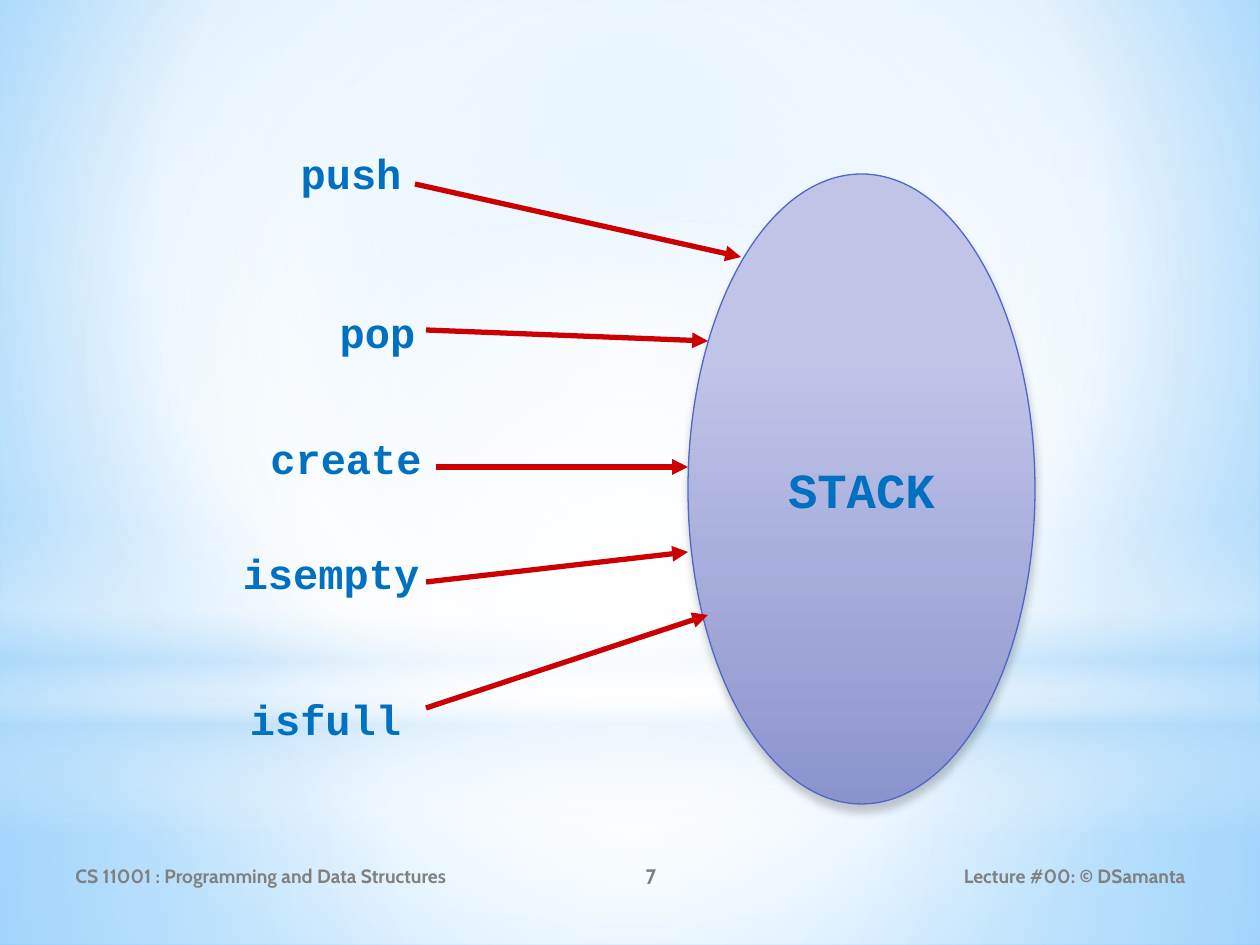
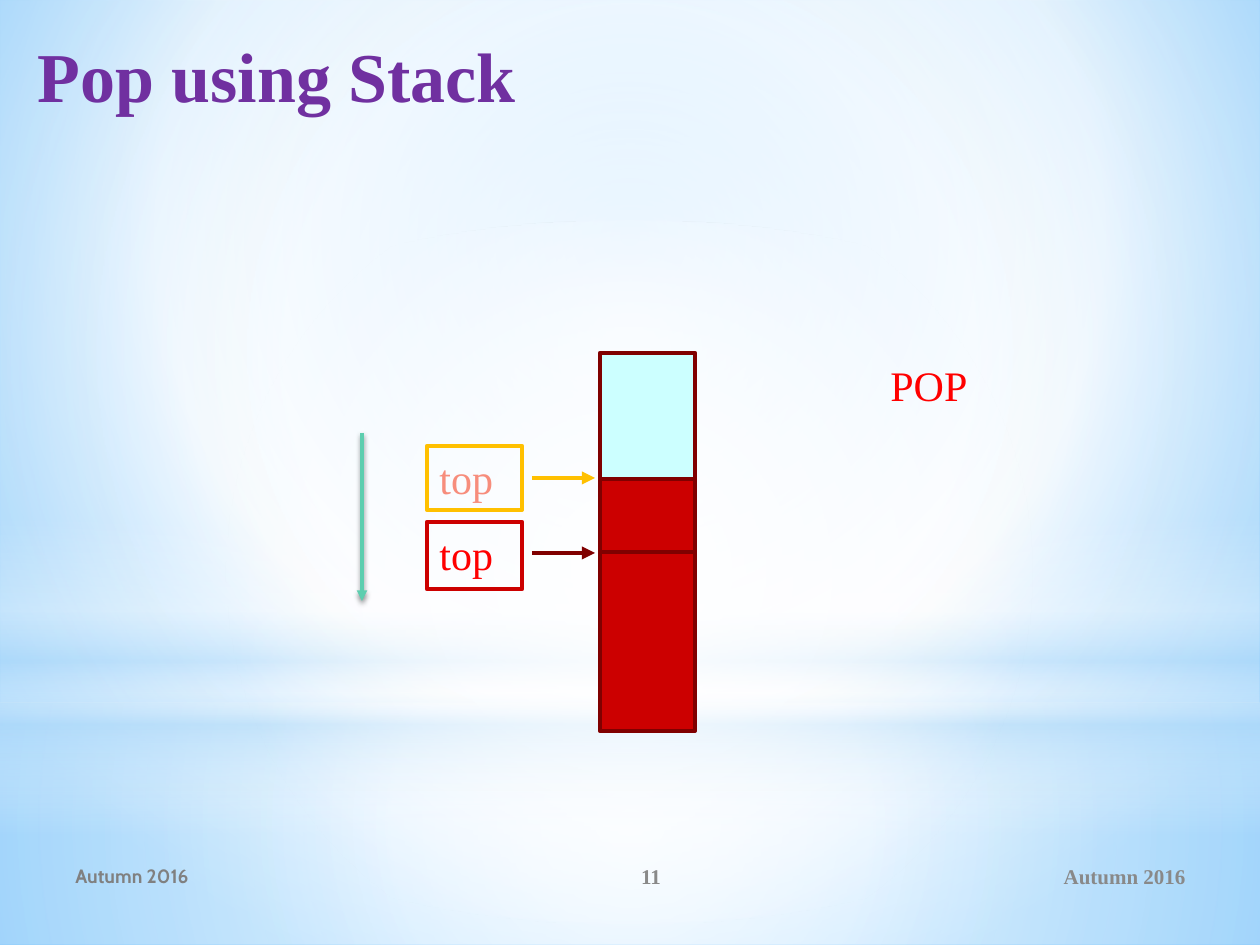
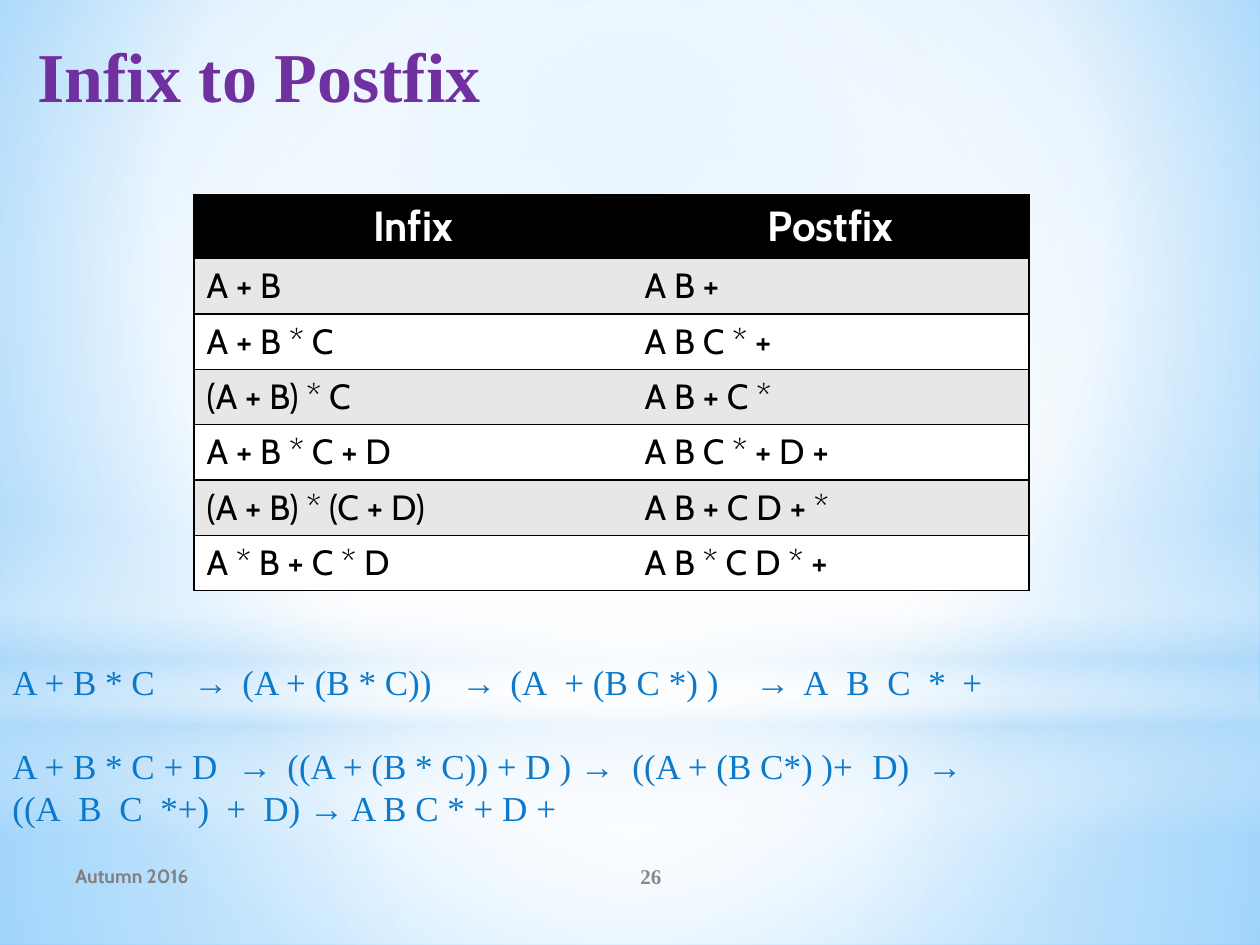
from dataclasses import dataclass, field

from lxml import etree
from pptx import Presentation
from pptx import util as u
from pptx.dml.color import RGBColor
from pptx.enum import shapes, text
from pptx.oxml.ns import qn

PX = 914400 / 126
RECT = shapes.MSO_SHAPE.RECTANGLE
OVAL = shapes.MSO_SHAPE.OVAL
LEFT, CENTER, RIGHT = text.PP_ALIGN.LEFT, text.PP_ALIGN.CENTER, text.PP_ALIGN.RIGHT
TOP, MIDDLE = text.MSO_ANCHOR.TOP, text.MSO_ANCHOR.MIDDLE
TITLE_ONLY, BLANK = 5, 6
INSET = 13


@dataclass
class Theme:
    red: str = "CC0000"
    maroon: str = "800000"
    cyan: str = "CCFFFF"
    gold: str = "FFC000"
    green: str = "5DCEAF"
    blue: str = "4E67C8"
    black: str = "000000"
    white: str = "FFFFFF"
    band: str = "E7E7E7"
    backdrop: tuple = ((0, "9ED5FF", 100), (60, "FFFFFF", 100), (100, "5BB9FF", 100))
    floor: tuple = ((0, "FFFFFF", 91), (37, "FFFFFF", 76), (100, "B4DCFA", 79))
    sky: tuple = ((0, "FFFFFF", 89), (48, "FFFFFF", 62), (100, "B4DCFA", 79))
    horizon: tuple = ((0, "FFFFFF", 0), (29, "FFFFFF", 30), (45, "B4DCFA", 40),
                      (55, "FFFFFF", 26), (65, "B4DCFA", 60), (100, "FFFFFF", 0))
    glow: tuple = ((0, "FFFFFF", 100), (56, "FFFFFF", 0))
    stack: tuple = ((28, "C0C5E8", 100), (100, "8C94CE", 100))
    styles: dict = field(default_factory=lambda: {
        "title": ("Times New Roman", 40, True, "7030A0"),
        "stack": ("Courier New", 28, True, "0070C0"),
        "operation": ("Courier New", 24, True, "0070C0"),
        "pointer": ("Times New Roman", 24, False, "FF0000"),
        "old pointer": ("Times New Roman", 24, False, "F78D7C"),
        "steps": ("Times New Roman", 20, False, "0D79CA"),
        "header": ("Cabin", 24, True, "FFFFFF"),
        "cell": ("Cabin", 20, False, "000000"),
        "footer": ("Cabin", 11, True, "808080"),
        "number": ("Cabin", 12, True, "808080"),
        "serif footer": ("Times New Roman", 12, True, "898989"),
    })


def px(*lengths):
    return [u.Emu(round(length * PX)) for length in lengths]


def node(parent, tag, **attributes):
    values = {name: str(value) for name, value in attributes.items()}
    return etree.SubElement(parent, qn(tag), values)


def colour(parent, value, opacity=100):
    node(node(parent, "a:srgbClr", val=value), "a:alpha", val=opacity * 1000)


def set_format(target, **values):
    for name, value in values.items():
        setattr(target, name, value)


class Deck:
    def __init__(self, theme):
        self.theme = theme
        self.deck = Presentation()
        self.deck.slide_width, self.deck.slide_height = px(1260, 945)

    def start_page(self, title=None):
        layout = self.deck.slide_layouts[TITLE_ONLY if title else BLANK]
        self.page = self.deck.slides.add_slide(layout)
        self.canvas = self.page.shapes
        if title:
            box = self.page.shapes.title
            box.left, box.top, box.width, box.height = px(25, 26, 1201, 158)
            self.set_text(box.text_frame, title, "title")

    def group(self):
        self.canvas = self.page.shapes.add_group_shape().shapes

    def ungroup(self):
        self.canvas = self.page.shapes

    def set_text(self, frame, wording, style, align=LEFT, anchor=TOP, wrap=True):
        set_format(frame, word_wrap=wrap, auto_size=text.MSO_AUTO_SIZE.NONE,
                   vertical_anchor=anchor)
        lines = [wording] if isinstance(wording, str) else wording
        for index, line in enumerate(lines):
            para = frame.add_paragraph() if index else frame.paragraphs[0]
            self.fill_line(para, line, style, align)

    def fill_line(self, para, line, style, align):
        para.alignment = align
        span = para.add_run()
        span.text = line
        name, size, bold, value = self.theme.styles[style]
        set_format(span.font, name=name, size=u.Pt(size), bold=bold)
        span.font.color.rgb = RGBColor.from_string(value)

    def text(self, area, wording, style, **layout):
        box = self.canvas.add_textbox(*px(*area))
        self.set_text(box.text_frame, wording, style, **layout)
        return box

    def shape(self, kind, area, fill=None, line=None, width=2.5):
        box = self.canvas.add_shape(kind, *px(*area))
        box.shadow.inherit = False
        if fill:
            box.fill.solid()
            box.fill.fore_color.rgb = RGBColor.from_string(fill)
        else:
            box.fill.background()
        if line:
            self.stroke(box.line, line, width)
        else:
            box.line.fill.background()
        return box

    def stroke(self, line, value, width):
        line.color.rgb = RGBColor.from_string(value)
        line.width = u.Pt(width)

    def gradient(self, fill, properties, stops, focus=None):
        fill.solid()
        solid = properties.find(qn("a:solidFill"))
        blend = node(properties, "a:gradFill", rotWithShape=1)
        stop_list = node(blend, "a:gsLst")
        for position, value, opacity in stops:
            colour(node(stop_list, "a:gs", pos=position * 1000), value, opacity)
        if focus:
            sides = {side: share * 1000 for side, share in zip("ltrb", focus)}
            node(node(blend, "a:path", path="circle"), "a:fillToRect", **sides)
        else:
            node(blend, "a:lin", ang=5400000, scaled=0)
        properties.replace(solid, blend)

    def shadow(self, effects, opacity, blur, distance):
        outer = node(effects, "a:outerShdw", blurRad=u.Pt(blur), dist=u.Pt(distance),
                     dir=5400000, algn="ctr", rotWithShape=0)
        colour(outer, self.theme.black, opacity)

    def arrow(self, start, end, value, width):
        arrow = self.canvas.add_connector(
            shapes.MSO_CONNECTOR.STRAIGHT, *px(*start, *end))
        self.stroke(arrow.line, value, width)
        properties = arrow.element.spPr
        node(properties.find(qn("a:ln")), "a:tailEnd", type="triangle")
        return node(properties, "a:effectLst")

    def dress_master(self):
        theme, master = self.theme, self.deck.slide_master
        fill = master.background.fill
        fill.solid()
        properties = next(master.element.iter(qn("p:bgPr")))
        self.gradient(fill, properties, theme.backdrop, (20, 10, 20, 60))
        centre = (50, 50, 50, 50)
        layers = [
            (RECT, (0, 703, 1260, 242), theme.floor, centre),
            (RECT, (0, 0, 1260, 703), theme.sky, centre),
            (RECT, (0, 519, 1260, 315), theme.horizon, None),
            (OVAL, (0, 221, 1260, 703), theme.glow, centre),
        ]
        for index, (kind, area, stops, focus) in enumerate(layers):
            layer = self.shape(kind, area)
            self.gradient(layer.fill, layer.element.spPr, stops, focus)
            layer.element.nvSpPr.cNvPr.set("id", str(100 + index))
            master.shapes.element.insert(2 + index, layer.element)

    def footer(self, left, number, right=None, number_style="serif footer",
               right_style="serif footer"):
        parts = [
            (63, 462, left, "footer", LEFT),
            (525, 252, number, number_style, CENTER),
            (851, 347, right, right_style, RIGHT),
        ]
        for x, width, wording, style, align in parts:
            if wording:
                self.text((x, 851, width, 50), wording, style, align=align, anchor=MIDDLE)

    def table(self, area, widths, heights, rows):
        frame = self.canvas.add_table(len(rows), len(widths), *px(*area))
        grid = frame.table
        for column, width in zip(grid.columns, px(*widths)):
            column.width = width
        for row, height in zip(grid.rows, px(*heights)):
            row.height = height
        last = len(widths) - 1
        for r, row in enumerate(rows):
            for c, wording in enumerate(row):
                cell = grid.cell(r, c)
                fill = (self.theme.band if r % 2 else self.theme.white) if r else self.theme.black
                cell.fill.solid()
                cell.fill.fore_color.rgb = RGBColor.from_string(fill)
                self.fill_line(cell.text_frame.paragraphs[0], wording,
                               "cell" if r else "header", LEFT if r else CENTER)
                self.borders(cell, {"L": c == 0, "R": c == last, "T": True, "B": True})

    def borders(self, cell, sides):
        properties = cell._tc.get_or_add_tcPr()
        for index, (side, drawn) in enumerate(sides.items()):
            line = node(properties, f"a:ln{side}", w=u.Pt(1))
            if drawn:
                colour(node(line, "a:solidFill"), self.theme.black)
            else:
                node(line, "a:noFill")
            properties.insert(index, line)

    def tab_stops(self, para, positions):
        stops = node(para._p.get_or_add_pPr(), "a:tabLst")
        for position in px(*positions):
            node(stops, "a:tab", pos=position, algn="l")


def stack_operations(deck):
    theme = deck.theme
    deck.footer("CS 11001 : Programming and Data Structures", "7",
                "Lecture #00: © DSamanta", "number", "footer")
    stack = deck.shape(OVAL, (688, 174, 347, 630), line=theme.blue, width=0.75)
    deck.gradient(stack.fill, stack.element.spPr, theme.stack)
    deck.shadow(stack.element.spPr.find(qn("a:effectLst")), 20, 5, 4)
    deck.set_text(stack.text_frame, "STACK", "stack", CENTER, MIDDLE, False)
    operations = [
        ("push", (267, 141, 168), (415, 184), (741, 257)),
        ("pop", (278, 300, 199), (426, 330), (708, 341)),
        ("create", (257, 426, 178), (436, 467), (688, 467)),
        ("isempty", (226, 541, 210), (426, 582), (688, 552)),
        ("isfull", (226, 687, 199), (426, 708), (708, 615)),
    ]
    for name, place, start, end in operations:
        deck.arrow(start, end, theme.red, 3)
        deck.text((*place, 63), name, "operation", align=CENTER)


def pop_using_stack(deck):
    theme = deck.theme
    deck.footer("Autumn 2016", "11", "Autumn 2016")
    for top, height, fill in [(552, 179, theme.red), (353, 199, theme.cyan),
                              (479, 73, theme.red)]:
        deck.shape(RECT, (600, top, 95, height), fill, theme.maroon)
    pointers = [
        (522, 67, 553, theme.red, theme.maroon, "pointer"),
        (446, 64, 478, theme.gold, theme.gold, "old pointer"),
    ]
    for top, height, level, outline, arrow, style in pointers:
        deck.group()
        box = deck.shape(RECT, (427, top, 95, height), line=outline)
        deck.set_text(box.text_frame, "top", style)
        deck.arrow((532, level), (595, level), arrow, 2.5)
    deck.ungroup()
    deck.text((878, 353, 110, 63), "POP", "pointer", wrap=False)
    effects = deck.arrow((362, 433), (362, 601), theme.green, 2)
    deck.shadow(effects, 45, 3.1, 1.8)


def infix_to_postfix(deck):
    rows = [
        ("Infix", "Postfix"),
        ("A + B", "A B +"),
        ("A + B * C", "A B C * +"),
        ("(A + B) * C", "A B + C *"),
        ("A + B * C + D", "A B C * + D +"),
        ("(A + B) * (C + D)", "A B + C D + *"),
        ("A * B + C * D", "A B * C D * +"),
    ]
    deck.table((194, 195, 835, 393), (438, 397), [63] + [55] * 6, rows)
    steps = {
        "A + B * C\t→\t(A + (B * C))\t→\t(A\t+ (B C *) )\t→\tA\tB\tC\t*\t+":
            (194, 243, 462, 511, 565, 756, 804, 847, 888, 929, 963),
        "A + B * C + D\t→\t((A + (B * C)) + D ) →\t((A + (B C*) )+\tD)\t→":
            (238, 288, 633, 873, 928),
        "((A\tB\tC\t*+)\t+\tD) → A B C * + D +": (79, 120, 161, 227, 264),
    }
    box = deck.text((0, 654, 1066, 183), list(steps), "steps")
    paragraphs = box.text_frame.paragraphs
    paragraphs[1].space_before = u.Pt(24)
    for para, stops in zip(paragraphs, steps.values()):
        deck.tab_stops(para, [stop - INSET for stop in stops])
    deck.footer("Autumn 2016", "26")


def main():
    deck = Deck(Theme())
    deck.start_page()
    deck.dress_master()
    stack_operations(deck)
    deck.start_page("Pop using Stack")
    pop_using_stack(deck)
    deck.start_page("Infix to Postfix")
    infix_to_postfix(deck)
    deck.deck.save("out.pptx")


if __name__ == "__main__":
    main()
